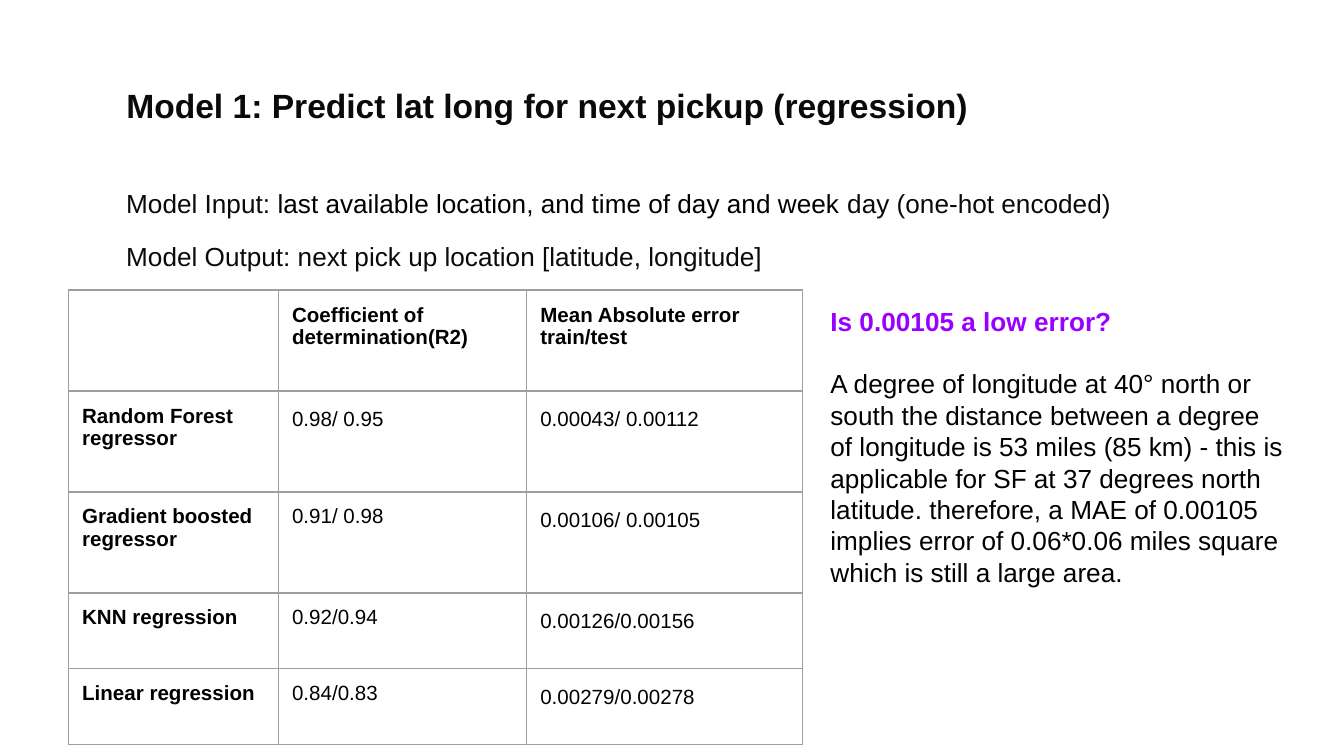
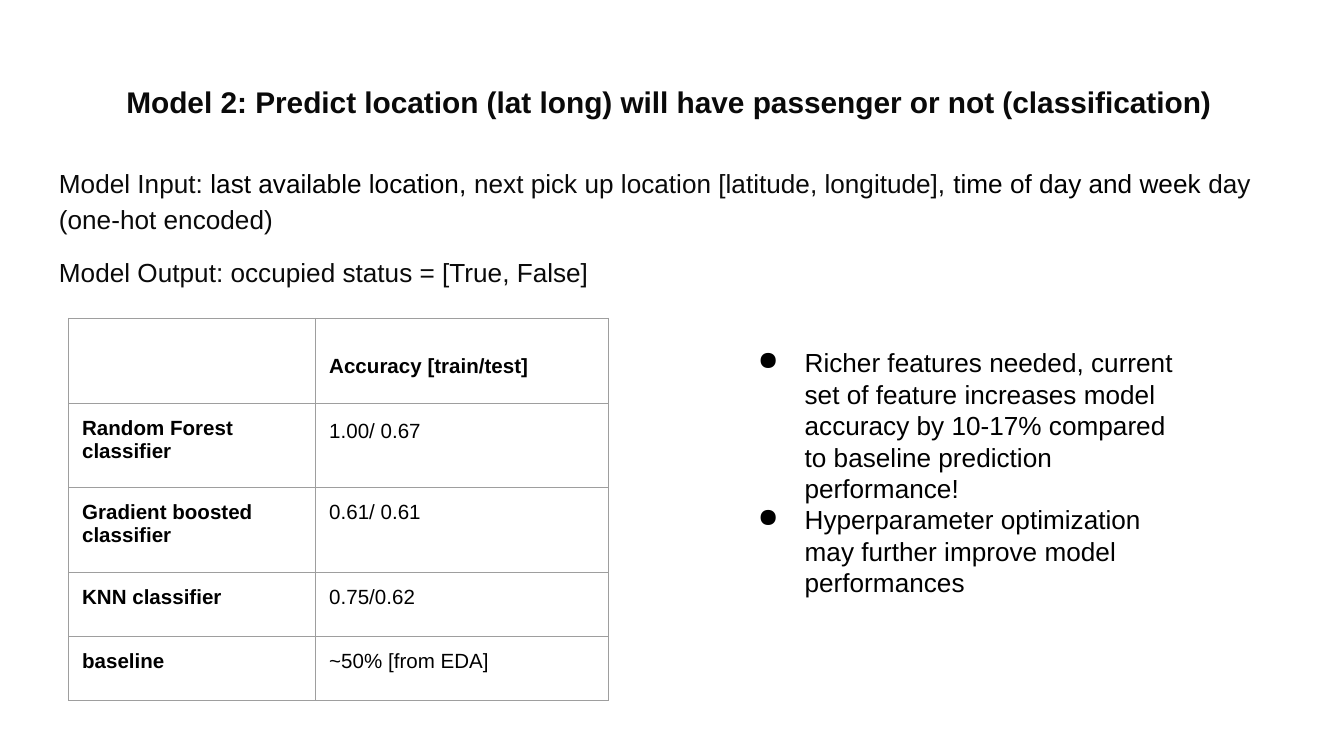
from lxml import etree
from pptx import Presentation
from pptx.dml.color import RGBColor
from pptx.enum import text
from pptx.oxml import ns
from pptx.util import Pt

FONT = "Arial"
INK, BLACK, PURPLE, GRID = "0A0A0A", "000000", "9900FF", "9E9E9E"
INSET = 7.2
INDENT = 36
LEFT, WIDTH = 24.5, 671
BODY_SIZE, CELL_SIZE = 14, 11
TABLE_LEFT = 36.8


def rgb(value):
    return RGBColor.from_string(value)


def style(paragraph, size, color, bold=False, spacing=None, before=0, after=0):
    font = paragraph.font
    font.name, font.size, font.bold = FONT, Pt(size), bold
    font.color.rgb = rgb(color)
    paragraph.alignment = text.PP_ALIGN.LEFT
    paragraph.space_before, paragraph.space_after = Pt(before), Pt(after)
    if spacing:
        paragraph.line_spacing = spacing


def indent(paragraph, left, first=0, bullet=None):
    props = paragraph._p.get_or_add_pPr()
    props.set("marL", str(Pt(left)))
    props.set("indent", str(Pt(first)))
    if bullet:
        etree.SubElement(props, ns.qn("a:buChar")).set("char", bullet)


def prepare_frame(frame):
    frame.word_wrap = True
    frame.auto_size = text.MSO_AUTO_SIZE.NONE
    frame.vertical_anchor = text.MSO_ANCHOR.TOP
    frame.margin_left = frame.margin_right = Pt(INSET)
    frame.margin_top = frame.margin_bottom = Pt(INSET)


def paragraphs(frame, count):
    return [frame.paragraphs[0]] + [frame.add_paragraph() for _ in range(count - 1)]


def add_title(slide, wording, size):
    title = slide.shapes.title
    title.left, title.top, title.width, title.height = Pt(LEFT), Pt(35), Pt(WIDTH), Pt(45)
    prepare_frame(title.text_frame)
    title.text_frame.text = wording
    heading = title.text_frame.paragraphs[0]
    style(heading, size, INK, bold=True, spacing=1.15, before=9, after=9)
    indent(heading, INDENT)


def add_text_box(slide, left, top, width, height):
    frame = slide.shapes.add_textbox(Pt(left), Pt(top), Pt(width), Pt(height)).text_frame
    prepare_frame(frame)
    return frame


def add_model_summary(slide, top, height, lines, left_indent=0):
    """Each line is a list of (wording, colour) runs."""
    frame = add_text_box(slide, LEFT, top, WIDTH, height)
    for paragraph, runs in zip(paragraphs(frame, len(lines)), lines):
        style(paragraph, BODY_SIZE, INK, spacing=1.15, before=9)
        indent(paragraph, left_indent)
        for wording, color in runs:
            run = paragraph.add_run()
            run.text = wording
            run.font.color.rgb = rgb(color)


def set_borders(cell):
    props = cell._tc.get_or_add_tcPr()
    for position, side in enumerate(("a:lnL", "a:lnR", "a:lnT", "a:lnB")):
        line = etree.Element(ns.qn(side), w=str(Pt(0.75)))
        fill = etree.SubElement(line, ns.qn("a:solidFill"))
        etree.SubElement(fill, ns.qn("a:srgbClr"), val=GRID)
        props.insert(position, line)


def add_score_table(slide, top, widths, heights, rows, loose, header_top=INSET):
    """Bold header row and column; cells listed in loose get wider line spacing."""
    table = slide.shapes.add_table(
        len(rows), len(widths), Pt(TABLE_LEFT), Pt(top),
        Pt(sum(widths)), Pt(sum(heights))).table
    table.first_row = table.horz_banding = False
    for column, width in zip(table.columns, widths):
        column.width = Pt(width)
    for r, (row, height) in enumerate(zip(rows, heights)):
        table.rows[r].height = Pt(height)
        for c, wording in enumerate(row):
            cell = table.cell(r, c)
            cell.fill.background()
            set_borders(cell)
            cell.margin_left = cell.margin_right = cell.margin_bottom = Pt(INSET)
            cell.margin_top = Pt(INSET if r else header_top)
            cell.text_frame.text = wording
            for paragraph in cell.text_frame.paragraphs:
                style(paragraph, CELL_SIZE, BLACK, bold=r == 0 or c == 0,
                      spacing=1.15 if (r, c) in loose else None)


def add_callout(slide, question, answer):
    frame = add_text_box(slide, 437.8, 156.2, 258, 167)
    asked, answered = paragraphs(frame, 2)
    asked.text, answered.text = question, answer
    style(asked, BODY_SIZE, PURPLE, bold=True, after=16.8)
    style(answered, BODY_SIZE, BLACK)


def add_findings(slide, findings):
    frame = add_text_box(slide, 388, 178.6, 258, 150.5)
    for paragraph, finding in zip(paragraphs(frame, len(findings)), findings):
        paragraph.text = finding
        style(paragraph, BODY_SIZE, BLACK)
        indent(paragraph, INDENT, -25, "●")


def build_regression(slide):
    add_title(slide, "Model 1: Predict lat long for next pickup (regression)", 18)
    add_model_summary(slide, 90.7, 269, [
        [("Model Input: ", INK),
         ("last available location, and time of day and week", BLACK),
         (" day (one-hot encoded)", INK)],
        [("Model Output: next pick up location [latitude, longitude]", INK)],
    ], INDENT)
    add_score_table(slide, 155.4, [112.5, 133, 147.6], [54.1] * 3 + [40.7] * 2, [
        ["", "Coefficient of determination(R2)", "Mean Absolute error\ntrain/test"],
        ["Random Forest regressor", "0.98/ 0.95", "0.00043/ 0.00112"],
        ["Gradient boosted regressor", "0.91/ 0.98", "0.00106/ 0.00105"],
        ["KNN regression", "0.92/0.94", "0.00126/0.00156"],
        ["Linear regression", "0.84/0.83", "0.00279/0.00278"],
    ], loose={(1, 1)} | {(r, 2) for r in range(1, 5)})
    add_callout(
        slide, "Is 0.00105 a low error?",
        "A degree of longitude at 40° north or south the distance between a degree "
        "of longitude is 53 miles (85 km) - this is applicable for SF at 37 degrees "
        "north latitude. therefore, a MAE of 0.00105 implies error of 0.06*0.06 miles "
        "square which is still a large area.")


def build_classification(slide):
    add_title(slide, "Model 2: Predict location (lat long) will have passenger "
                     "or not (classification)", 16)
    add_model_summary(slide, 80, 279.5, [
        [("Model Input: ", INK),
         ("last available location, ", BLACK),
         ("next pick up location [latitude, longitude],", INK),
         (" time of day and week", BLACK),
         (" day (one-hot encoded)", INK)],
        [("Model Output: occupied status = [True, False]", INK)],
    ])
    add_score_table(slide, 170.6, [132.4, 157], [45.4] * 3 + [34.3] * 2, [
        ["", "Accuracy [train/test]"],
        ["Random Forest classifier", "1.00/ 0.67"],
        ["Gradient boosted classifier", "0.61/ 0.61"],
        ["KNN classifier", "0.75/0.62"],
        ["baseline", "~50% [from EDA]"],
    ], loose={(1, 1)}, header_top=19.8)
    add_findings(slide, [
        "Richer features needed, current set of feature increases model accuracy "
        "by 10-17% compared to baseline prediction performance!",
        "Hyperparameter optimization may further improve model performances",
    ])


def main():
    deck = Presentation()
    deck.slide_width, deck.slide_height = Pt(720), Pt(405)
    title_only = deck.slide_layouts[5]
    for build in (build_regression, build_classification):
        build(deck.slides.add_slide(title_only))
    deck.save("out.pptx")


if __name__ == "__main__":
    main()
